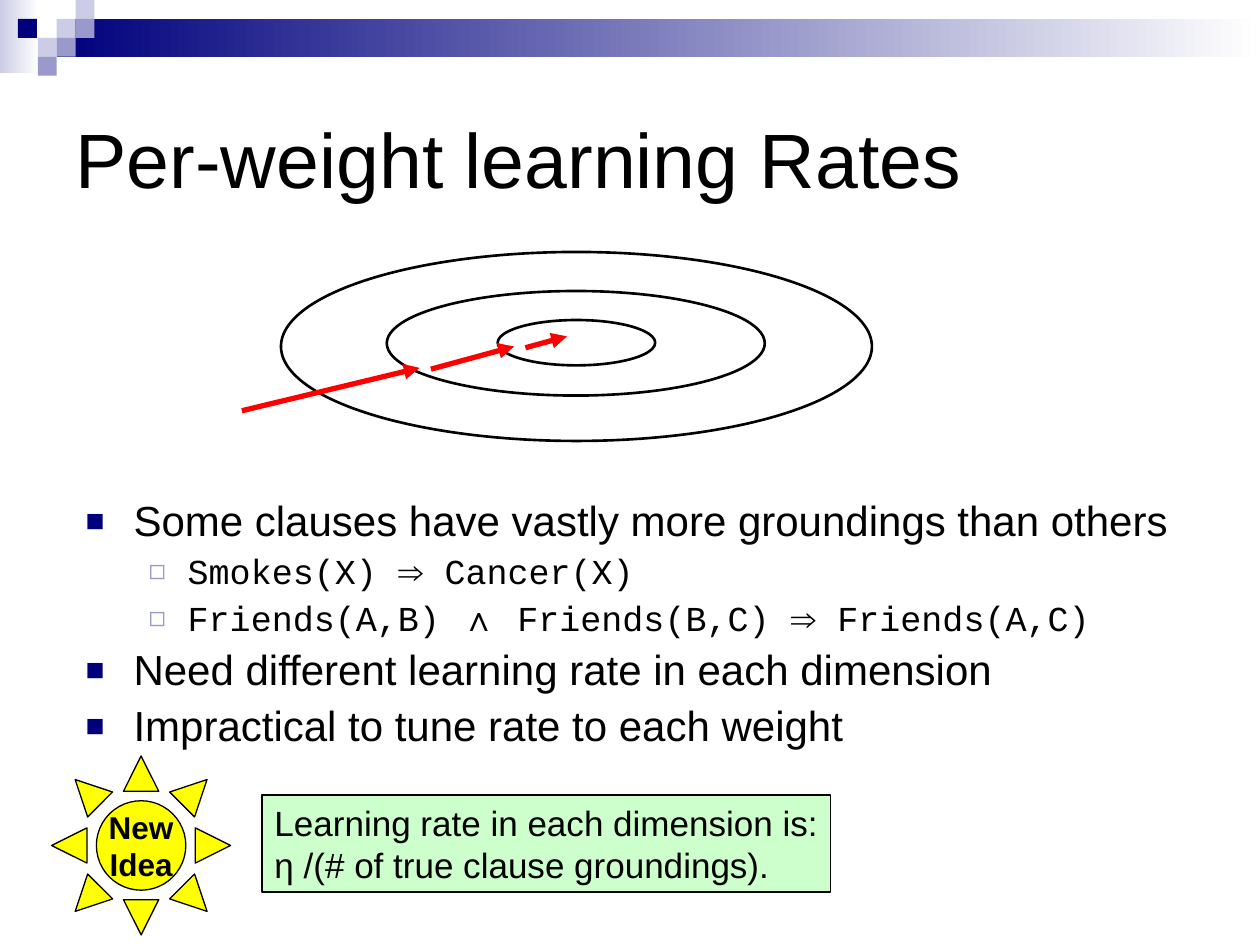
from dataclasses import dataclass
from math import cos, radians, sin
from typing import Any, Optional

import lxml.etree
import pptx
import pptx.dml.color
import pptx.enum.shapes
import pptx.enum.text
import pptx.oxml.ns
import pptx.util

SHAPE = pptx.enum.shapes.MSO_SHAPE
ANCHOR = pptx.enum.text.MSO_ANCHOR
ALIGN = pptx.enum.text.PP_ALIGN
AUTOSIZE = pptx.enum.text.MSO_AUTO_SIZE

# Grid of 100 columns by 75 rows over the slide
CELL = pptx.util.Inches(0.1)
COLUMNS, ROWS = 100, 75

BLACK, WHITE, RED, YELLOW, MINT = "000000", "FFFFFF", "FF0000", "FFFF00", "CCFFCC"
NAVY, LAVENDER, PERIWINKLE = "00007D", "CCCCE6", "9999CC"
SANS, MONO = "Arial", "Courier New"


@dataclass(frozen=True)
class Box:
    """Place and size in grid columns and rows."""
    col: float
    row: float
    cols: float
    rows: float


@dataclass(frozen=True)
class BulletLevel:
    size: float
    char: str
    color: str
    percent: int
    margin: float
    hanging: float
    before: float


LEVELS = (
    BulletLevel(24, "■", NAVY, 75, 3.8, 3.8, 6),
    BulletLevel(20, "◻", PERIWINKLE, 80, 8.1, 3.1, 5),
)


def grid(count: float) -> int:
    return round(count * CELL)


def rgb(value: str) -> pptx.dml.color.RGBColor:
    return pptx.dml.color.RGBColor.from_string(value)


def place(shape: Any, box: Box) -> None:
    shape.left, shape.top = grid(box.col), grid(box.row)
    shape.width, shape.height = grid(box.cols), grid(box.rows)


def draw(shapes: Any, kind: Any, box: Box, fill: Optional[str] = None,
         line: float = 0, turn: float = 0) -> Any:
    shape = shapes.add_shape(kind, 0, 0, 0, 0)
    place(shape, box)
    shape.shadow.inherit = False
    shape.rotation = turn
    if fill:
        shape.fill.solid()
        shape.fill.fore_color.rgb = rgb(fill)
    else:
        shape.fill.background()
    if line:
        shape.line.color.rgb = rgb(BLACK)
        shape.line.width = pptx.util.Pt(line)
    else:
        shape.line.fill.background()
    return shape


def fade(shapes: Any, box: Box, left_color: str, right_color: str) -> None:
    band = draw(shapes, SHAPE.RECTANGLE, box)
    band.fill.gradient()
    band.fill.gradient_angle = 180
    for stop, color in zip(band.fill.gradient_stops, (right_color, left_color)):
        stop.color.rgb = rgb(color)


def add_run(paragraph: Any, text: str, size: float, font: str = SANS,
            bold: bool = False) -> None:
    run = paragraph.add_run()
    run.text = text
    run.font.size = pptx.util.Pt(size)
    run.font.name = font
    run.font.bold = bold
    run.font.color.rgb = rgb(BLACK)


def write_lines(frame: Any, lines: tuple[str, ...], size: float, align: Any,
                bold: bool = False) -> None:
    for index, text in enumerate(lines):
        paragraph = frame.add_paragraph() if index else frame.paragraphs[0]
        paragraph.alignment = align
        add_run(paragraph, text, size, bold=bold)


def add_child(parent: Any, tag: str, **attributes: str) -> Any:
    return lxml.etree.SubElement(parent, pptx.oxml.ns.qn(tag), attributes)


def set_bullet(paragraph: Any, level: BulletLevel) -> None:
    props = paragraph._p.get_or_add_pPr()
    props.set("marL", str(grid(level.margin)))
    props.set("indent", str(-grid(level.hanging)))
    add_child(add_child(props, "a:buClr"), "a:srgbClr", val=level.color)
    add_child(props, "a:buSzPct", val=str(level.percent * 1000))
    add_child(props, "a:buFont", typeface=SANS)
    add_child(props, "a:buChar", char=level.char)


def draw_step(shapes: Any, start: tuple[float, float], end: tuple[float, float]) -> None:
    step = shapes.add_connector(pptx.enum.shapes.MSO_CONNECTOR.STRAIGHT,
                                *map(grid, start + end))
    step.line.color.rgb = rgb(RED)
    step.line.width = pptx.util.Pt(3)
    add_child(step.line._get_or_add_ln(), "a:tailEnd", type="triangle")
    add_child(step._element.spPr, "a:effectLst")


def draw_header(shapes: Any) -> None:
    fade(shapes, Box(0, 0, 3.1, 5.8), LAVENDER, WHITE)
    fade(shapes, Box(4.5, 1.5, COLUMNS - 4.5, 3), NAVY, WHITE)
    tile = 1.5
    mosaic = ((3, 1, LAVENDER), (4, 0, LAVENDER), (4, 1, PERIWINKLE), (2, 2, LAVENDER),
              (0.95, 1, NAVY), (3, 2, PERIWINKLE), (2, 3, PERIWINKLE))
    for col, row, color in mosaic:
        draw(shapes, SHAPE.RECTANGLE, Box(col * tile, row * tile, tile, tile), color)


def draw_sun(shapes: Any, col: float, row: float) -> None:
    core, ray = 7.1, 2.8
    disc = draw(shapes, SHAPE.OVAL, Box(col - core / 2, row - core / 2, core, core),
                YELLOW, 0.75)
    disc.text_frame.word_wrap = False
    disc.text_frame.vertical_anchor = ANCHOR.MIDDLE
    write_lines(disc.text_frame, ("New", "Idea"), 18, ALIGN.CENTER, bold=True)
    for turn in range(0, 360, 45):
        reach = 6 if turn % 90 else 5.7
        ray_col = col + reach * sin(radians(turn)) - ray / 2
        ray_row = row - reach * cos(radians(turn)) - ray / 2
        draw(shapes, SHAPE.ISOSCELES_TRIANGLE, Box(ray_col, ray_row, ray, ray),
             YELLOW, 0.75, turn)


def main() -> None:
    deck = pptx.Presentation()
    deck.slide_width, deck.slide_height = grid(COLUMNS), grid(ROWS)
    slide = deck.slides.add_slide(deck.slide_layouts[1])
    shapes = slide.shapes
    draw_header(shapes.add_group_shape().shapes)

    # Title
    title = shapes.title
    place(title, Box(5, 5, 90, 15))
    title.text_frame.vertical_anchor = ANCHOR.MIDDLE
    title.text_frame.auto_size = AUTOSIZE.NONE
    write_lines(title.text_frame, ("Per-weight learning Rates",), 44, ALIGN.LEFT)

    # Bullet list: level, then runs of text and font
    implies, conjunction = ("⇒", SANS), ("∧", SANS)
    points = (
        (0, (("Some clauses have vastly more groundings than others", SANS),)),
        (1, (("Smokes(X) ", MONO), implies, (" Cancer(X)", MONO))),
        (1, (("Friends(A,B) ", MONO), conjunction, (" Friends(B,C) ", MONO),
             implies, (" Friends(A,C)", MONO))),
        (0, (("Need different learning rate in each dimension", SANS),)),
        (0, (("Impractical to tune rate to each weight", SANS),)),
    )
    body = slide.placeholders[1]
    place(body, Box(5.8, 39.2, 89.2, 23.3))
    body.text_frame.auto_size = AUTOSIZE.NONE
    for index, (depth, runs) in enumerate(points):
        point = body.text_frame.add_paragraph() if index else body.text_frame.paragraphs[0]
        level = LEVELS[depth]
        point.level = depth
        point.line_spacing = 0.9
        point.space_before = pptx.util.Pt(level.before if index else 0)
        set_bullet(point, level)
        for text, font in runs:
            add_run(point, text, level.size, font)

    # Contours and the shrinking steps towards their centre
    for contour in (Box(22.3, 20, 46.9, 15), Box(30.7, 23.1, 30, 8.3),
                    Box(39.5, 25.4, 12.5, 3.6)):
        draw(shapes, SHAPE.OVAL, contour, line=1.5)
    for start, end in (((19.2, 32.6), (33.3, 29.2)), ((34.2, 29.3), (40.8, 27.5)),
                       ((41.7, 27.6), (45, 26.7))):
        draw_step(shapes, start, end)

    # Learning rate rule, with a slim right margin so each line fits
    rule = draw(shapes, SHAPE.RECTANGLE, Box(20.8, 63.1, 45.1, 7.7), MINT, 0.75)
    rule.text_frame.word_wrap = True
    rule.text_frame.auto_size = AUTOSIZE.NONE
    rule.text_frame.margin_right = grid(0.2)
    rule.text_frame.vertical_anchor = ANCHOR.TOP
    write_lines(rule.text_frame, ("Learning rate in each dimension is:",
                                  "η /(# of true clause groundings)."), 20, ALIGN.LEFT)

    draw_sun(shapes.add_group_shape().shapes, 11.2, 67.1)
    deck.save("out.pptx")


if __name__ == "__main__":
    main()
